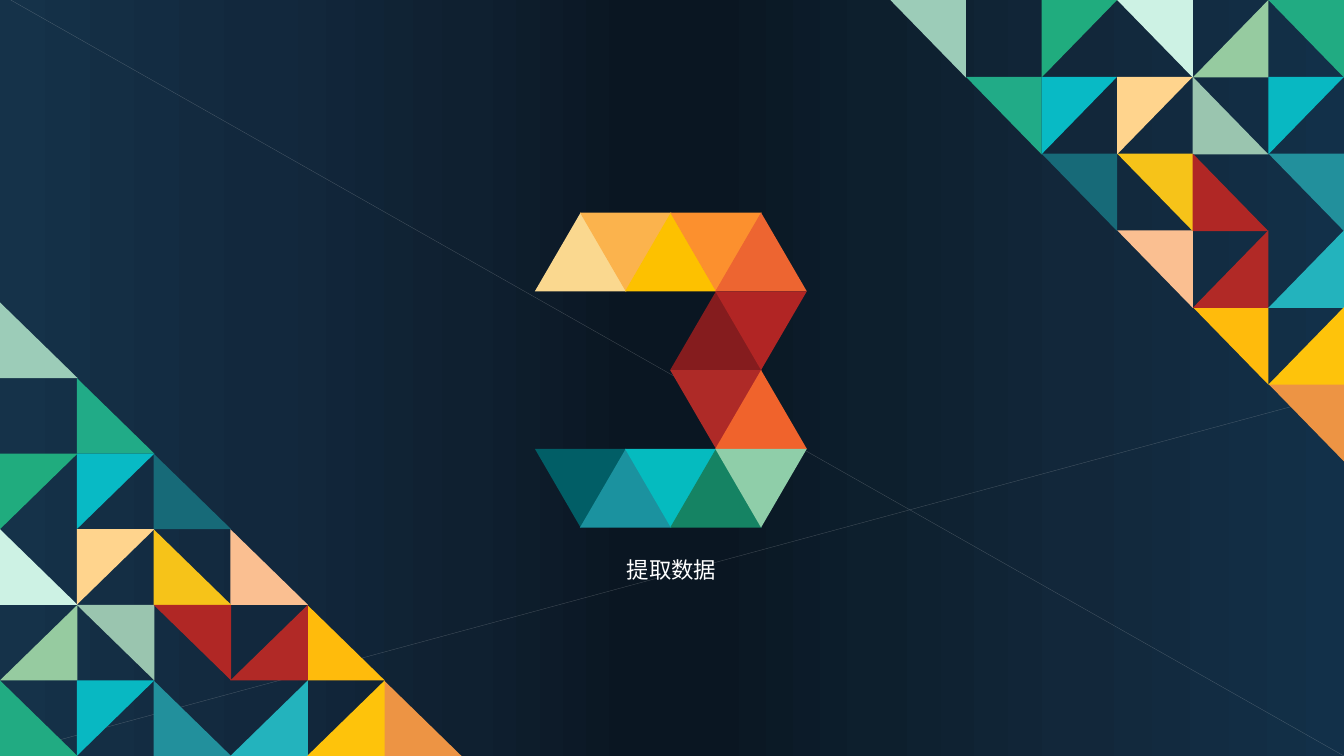
from dataclasses import dataclass

from lxml.etree import SubElement
from pptx import Presentation
from pptx.dml.color import RGBColor
from pptx.enum.shapes import MSO_CONNECTOR as Connector, MSO_SHAPE as Preset
from pptx.enum.text import MSO_ANCHOR as Anchor, MSO_AUTO_SIZE as AutoSize, PP_ALIGN as Align
from pptx.oxml.ns import qn
from pptx.shapes.shapetree import GroupShapes, SlideShapes
from pptx.slide import Slide
from pptx.util import Inches, Pt

WIDTH, HEIGHT = Inches(13.33), Inches(7.5)
COLUMNS, ROWS = 17.5, 10
COLUMN, ROW = WIDTH / COLUMNS, HEIGHT / ROWS
CORNER_SIZE = 6
TILE_OVERLAP = 1.01
DIGIT_STEP, DIGIT_ROW = WIDTH / 29.8, HEIGHT / 9.6
DIGIT_LEFT, DIGIT_TOP = 11.86 * DIGIT_STEP, 2.7 * DIGIT_ROW
DIGIT_TILE = 2.03 * DIGIT_STEP
FONT = "Noto Sans CJK SC"

WHITE = RGBColor(0xFF, 0xFF, 0xFF)
LINE_GREY = RGBColor(0xD9, 0xD9, 0xD9)
NIGHT_RIGHT = RGBColor(0x12, 0x30, 0x49)
NIGHT_BLUE = RGBColor(0x12, 0x27, 0x3A)
NIGHT_DEEP = RGBColor(0x0D, 0x1F, 0x2D)
NIGHT_CENTRE = RGBColor(0x0A, 0x16, 0x22)
NIGHT_SOFT = RGBColor(0x0F, 0x20, 0x30)
NIGHT_MID = RGBColor(0x12, 0x28, 0x3D)
NIGHT_LEFT = RGBColor(0x15, 0x32, 0x49)

GREEN = RGBColor(0x21, 0xAB, 0x82)
MINT = RGBColor(0xCD, 0xF2, 0xE4)
TEAL = RGBColor(0x22, 0x90, 0x9C)
ORANGE = RGBColor(0xED, 0x94, 0x44)
AMBER = RGBColor(0xFF, 0xBB, 0x0C)
PEACH = RGBColor(0xFA, 0xBF, 0x91)
DARK_TEAL = RGBColor(0x17, 0x6A, 0x78)
SEA_GREEN = RGBColor(0x21, 0xAB, 0x87)
SAGE = RGBColor(0x9C, 0xCC, 0xB8)
YELLOW = RGBColor(0xF6, 0xC3, 0x19)
RED = RGBColor(0xB1, 0x29, 0x26)
AQUA = RGBColor(0x23, 0xB3, 0xBD)
GOLD = RGBColor(0xFE, 0xC3, 0x0B)
LEAF = RGBColor(0x96, 0xCB, 0xA0)
CYAN = RGBColor(0x08, 0xB8, 0xC2)
CREAM = RGBColor(0xFF, 0xD4, 0x8D)
BRIGHT_CYAN = RGBColor(0x08, 0xBA, 0xC5)
EMERALD = RGBColor(0x20, 0xAC, 0x7E)
GREY_GREEN = RGBColor(0x9A, 0xC5, 0xAF)
BRICK = RGBColor(0xB0, 0x27, 0x25)

DIGIT_CREAM = RGBColor(0xFA, 0xD8, 0x8F)
DIGIT_APRICOT = RGBColor(0xFB, 0xB3, 0x4D)
DIGIT_YELLOW = RGBColor(0xFD, 0xC1, 0x00)
DIGIT_ORANGE = RGBColor(0xFC, 0x90, 0x2E)
DIGIT_CORAL = RGBColor(0xED, 0x65, 0x31)
DIGIT_MAROON = RGBColor(0x85, 0x1C, 0x1E)
DIGIT_RED = RGBColor(0xB1, 0x25, 0x24)
DIGIT_BRICK = RGBColor(0xAE, 0x2A, 0x27)
DIGIT_FLAME = RGBColor(0xF0, 0x63, 0x2C)
DIGIT_PETROL = RGBColor(0x01, 0x5E, 0x66)
DIGIT_TEAL = RGBColor(0x1B, 0x92, 0x9F)
DIGIT_CYAN = RGBColor(0x05, 0xBB, 0xBF)
DIGIT_GREEN = RGBColor(0x15, 0x83, 0x63)
DIGIT_MINT = RGBColor(0x8F, 0xCE, 0xA9)


@dataclass(frozen=True)
class Tile:
    column: int
    row: int
    color: RGBColor
    flip: str = ""


@dataclass(frozen=True)
class Ray:
    start: tuple[float, float]
    end: tuple[float, float]


NIGHT_STOPS = (
    (0, NIGHT_RIGHT), (20, NIGHT_BLUE), (35, NIGHT_DEEP), (47, NIGHT_CENTRE), (50, NIGHT_CENTRE),
    (53, NIGHT_CENTRE), (65, NIGHT_SOFT), (80, NIGHT_MID), (100, NIGHT_LEFT),
)
RAYS = (Ray((0.14, 0), (COLUMNS, ROWS)), Ray((0, ROWS), (COLUMNS, 5.19)))
CORNER_TILES = (
    Tile(0, 5, GREEN), Tile(0, 3, MINT), Tile(2, 5, TEAL), Tile(5, 5, ORANGE),
    Tile(4, 4, AMBER), Tile(3, 3, PEACH), Tile(2, 2, DARK_TEAL), Tile(1, 1, SEA_GREEN),
    Tile(0, 0, SAGE), Tile(2, 3, YELLOW),
    Tile(3, 4, RED, "h"), Tile(3, 5, AQUA, "h"), Tile(4, 5, GOLD, "h"), Tile(0, 4, LEAF, "h"),
    Tile(1, 5, CYAN, "v"), Tile(1, 3, CREAM, "v"), Tile(1, 2, BRIGHT_CYAN, "v"),
    Tile(0, 2, EMERALD, "v"), Tile(1, 4, GREY_GREEN, "hv"), Tile(2, 4, BRICK, "hv"),
)
DIGIT_TILES = (
    Tile(0, 0, DIGIT_CREAM), Tile(1, 0, DIGIT_APRICOT), Tile(2, 0, DIGIT_YELLOW),
    Tile(3, 0, DIGIT_ORANGE), Tile(4, 0, DIGIT_CORAL),
    Tile(3, 1, DIGIT_MAROON), Tile(4, 1, DIGIT_RED),
    Tile(3, 2, DIGIT_BRICK), Tile(4, 2, DIGIT_FLAME),
    Tile(0, 3, DIGIT_PETROL), Tile(1, 3, DIGIT_TEAL), Tile(2, 3, DIGIT_CYAN),
    Tile(3, 3, DIGIT_GREEN), Tile(4, 3, DIGIT_MINT),
)


def paint_background(page: Slide) -> None:
    fill = page.background.fill
    fill.gradient()
    fill.gradient_angle = 180
    stops = page.background._cSld.find(f".//{qn('a:gsLst')}")
    for stop in list(stops):
        stops.remove(stop)
    for position, color in NIGHT_STOPS:
        stop = SubElement(stops, qn("a:gs"), pos=str(position * 1000))
        SubElement(stop, qn("a:srgbClr"), val=str(color))


def draw_ray(page: Slide, ray: Ray) -> None:
    ends = [round(share * unit) for point in (ray.start, ray.end)
            for share, unit in zip(point, (COLUMN, ROW))]
    line = page.shapes.add_connector(Connector.STRAIGHT, *ends)
    line.line.width = Pt(0.25)
    line.line.color.rgb = LINE_GREY
    color = line._element.spPr.find(f".//{qn('a:srgbClr')}")
    SubElement(color, qn("a:alpha"), val="25000")
    SubElement(line._element.spPr, qn("a:effectLst"))


def draw_triangle(shapes: SlideShapes | GroupShapes, preset: Preset, left: float, top: float,
                  width: float, height: float, color: RGBColor, flip: str,
                  rotation: float = 0) -> None:
    box = shapes.add_shape(preset, *map(round, (left, top, width, height)))
    box.shadow.inherit = False
    box.fill.solid()
    box.fill.fore_color.rgb = color
    box.line.fill.background()
    box.rotation = rotation
    for axis in flip:
        box._element.spPr.xfrm.set(f"flip{axis.upper()}", "1")


def draw_corners(page: Slide) -> None:
    width = COLUMN * TILE_OVERLAP
    bottom_left = page.shapes.add_group_shape().shapes
    for tile in CORNER_TILES:
        top = HEIGHT + (tile.row - CORNER_SIZE) * ROW
        draw_triangle(bottom_left, Preset.RIGHT_TRIANGLE, tile.column * COLUMN, top,
                      width, ROW, tile.color, tile.flip)
    turn = (width - ROW) / 2
    for tile in CORNER_TILES:
        left = WIDTH + (tile.row - CORNER_SIZE) * ROW - turn
        flip = tile.flip.replace("v", "") if "v" in tile.flip else tile.flip + "v"
        draw_triangle(page.shapes, Preset.RIGHT_TRIANGLE, left, tile.column * COLUMN + turn,
                      width, ROW, tile.color, flip, 90)


def draw_digit(page: Slide) -> None:
    for tile in DIGIT_TILES:
        flip = "v" if (tile.column + tile.row) % 2 else ""
        draw_triangle(page.shapes, Preset.ISOSCELES_TRIANGLE,
                      DIGIT_LEFT + tile.column * DIGIT_STEP, DIGIT_TOP + tile.row * DIGIT_ROW,
                      DIGIT_TILE, DIGIT_ROW, tile.color, flip)


def write_title(page: Slide) -> None:
    box = page.shapes.title
    box.left, box.top = round(4.38 * COLUMN), round(7.28 * ROW)
    box.width, box.height = round(8.73 * COLUMN), round(0.5 * ROW)
    frame = box.text_frame
    frame.word_wrap = True
    frame.auto_size = AutoSize.SHAPE_TO_FIT_TEXT
    frame.vertical_anchor = Anchor.MIDDLE
    para = frame.paragraphs[0]
    para.alignment = Align.CENTER
    span = para.add_run()
    span.text = "提取数据"
    span.font.size = Pt(16)
    span.font.name = FONT
    span.font.color.rgb = WHITE
    SubElement(span.font._element, qn("a:ea"), typeface=FONT)


def main() -> None:
    deck = Presentation()
    deck.slide_width, deck.slide_height = WIDTH, HEIGHT
    page = deck.slides.add_slide(deck.slide_layouts.get_by_name("Title Only"))
    paint_background(page)
    for ray in RAYS:
        draw_ray(page, ray)
    draw_corners(page)
    draw_digit(page)
    write_title(page)
    deck.save("out.pptx")


if __name__ == "__main__":
    main()
